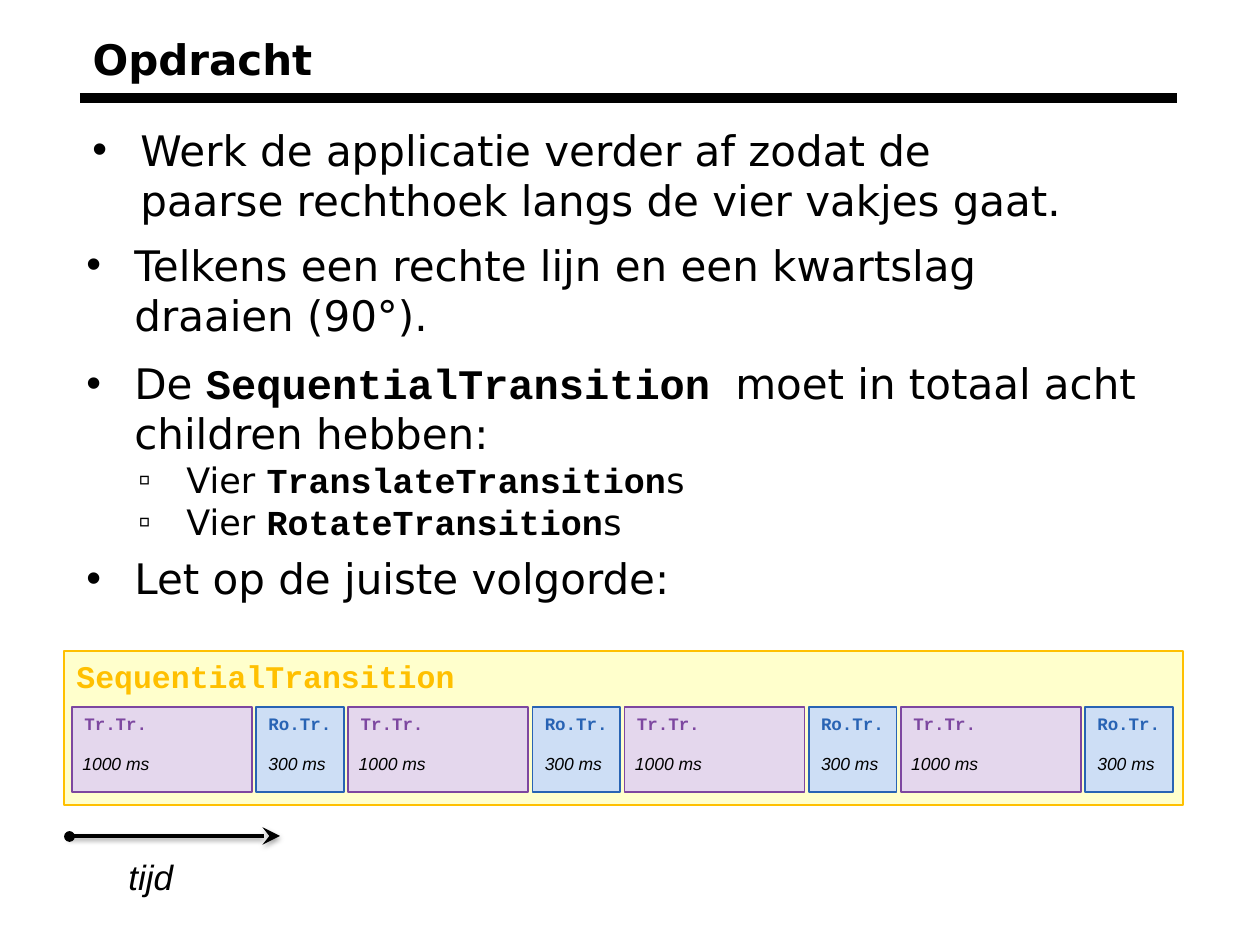
from lxml import etree
from pptx import Presentation, util as u
from pptx.dml.color import RGBColor
from pptx.enum import shapes, text
from pptx.oxml import parse_xml
from pptx.oxml.ns import nsdecls, qn

PX = 914400 // 126
COLORS = {
    "black": "000000", "panel": "FFFFCC", "gold": "FFC000",
    "lilac": "E4D7ED", "purple": "7D47A0", "sky": "CDDEF5", "blue": "2863B4",
}
SANS, MONO, ARIAL = "DejaVu Sans", "Courier New", "Arial"
HEADING = {"name": SANS, "size": 24, "bold": True}
BODY = {"name": SANS, "size": 24}
SUB = {"name": SANS, "size": 20}
CODE = {"name": MONO, "bold": True}
LABEL = {"name": MONO, "size": 10, "bold": True}
DURATION = {"name": ARIAL, "size": 10, "italic": True}
PANEL_TITLE = {"name": MONO, "size": 18, "bold": True, "color": "gold"}
TIME = {"name": ARIAL, "size": 20, "italic": True}

TITLE = "Opdracht"
INTRO = [(0, 0, [("Werk de applicatie verder af zodat de paarse rechthoek langs de vier vakjes gaat.", {})])]
TASKS = [
    (0, 0, [("Telkens een rechte lijn en een kwartslag draaien (90°).", {})]),
    (0, 10, [("De ", {}), ("SequentialTransition ", CODE), ("moet in totaal acht children hebben:", {})]),
    (1, 0, [("Vier ", {}), ("TranslateTransition", CODE), ("s", {})]),
    (1, 0, [("Vier ", {}), ("RotateTransition", CODE), ("s", {})]),
    (0, 6, [("Let op de juiste volgorde:", {})]),
]
LEVELS = [("•", 48, BODY), ("▫", 100, SUB)]
HANGING = 48
PANEL = (64, 651, 1119, 154)
TRANSLATE = ("Tr.Tr.", "1000 ms", 180, -2, "lilac", "purple")
ROTATE = ("Ro.Tr.", "300 ms", 88, 0, "sky", "blue")
STEPS = [TRANSLATE, ROTATE] * 4
STEPS_LEFT, STEPS_RIGHT, STEPS_TOP, STEPS_HEIGHT = 72, 1173, 707, 85


def px(*lengths):
    return [round(length * PX) for length in lengths]


def rgb(color):
    return RGBColor.from_string(COLORS[color])


def style(font, color="black", **values):
    font.color.rgb = rgb(color)
    for name, value in values.items():
        setattr(font, name, u.Pt(value) if name == "size" else value)


def text_box(slide, *place):
    frame = slide.shapes.add_textbox(*px(*place)).text_frame
    frame.word_wrap = True
    return frame


def caption(slide, words, look, *place):
    frame = text_box(slide, *place)
    frame.margin_right = 0
    run = frame.paragraphs[0].add_run()
    run.text = words
    style(run.font, **look)


def bullets(slide, items, *place):
    frame = text_box(slide, *place)
    for i, (level, before, runs) in enumerate(items):
        paragraph = frame.add_paragraph() if i else frame.paragraphs[0]
        mark, indent, look = LEVELS[level]
        properties = paragraph._p.get_or_add_pPr()
        properties.set("marL", str(indent * PX))
        properties.set("indent", str(-HANGING * PX))
        etree.SubElement(properties, qn("a:buFont"), typeface=ARIAL)
        etree.SubElement(properties, qn("a:buChar"), char=mark)
        paragraph.space_before = u.Pt(before)
        for words, change in runs:
            run = paragraph.add_run()
            run.text = words
            style(run.font, **{**look, **change})


def block(slide, kind, fill, line, *place):
    shape = slide.shapes.add_shape(kind, *px(*place))
    shape.shadow.inherit = False
    shape.fill.solid()
    shape.fill.fore_color.rgb = rgb(fill)
    shape.line.color.rgb = rgb(line)
    shape.line.width = u.Pt(1)


def rule(slide, width, effects, *ends):
    line = slide.shapes.add_connector(shapes.MSO_CONNECTOR.STRAIGHT, *px(*ends))
    line.line.color.rgb = rgb("black")
    line.line.width = u.Pt(width)
    line._element.spPr.append(parse_xml(f"<a:effectLst {nsdecls('a')}>{effects}</a:effectLst>"))
    return line


def main():
    deck = Presentation()
    deck.slide_width, deck.slide_height = u.Inches(10), u.Inches(7.5)
    slide = deck.slides.add_slide(deck.slide_layouts[5])

    title = slide.shapes.title
    title.left, title.top, title.width, title.height = px(80, 18, 1097, 81)
    title.text_frame.text = TITLE
    title.text_frame.vertical_anchor = text.MSO_ANCHOR.MIDDLE
    heading = title.text_frame.paragraphs[0]
    heading.alignment = text.PP_ALIGN.LEFT
    style(heading.runs[0].font, **HEADING)
    rule(slide, 6, "", 80, 98, 1177, 98)

    bullets(slide, INTRO, 80, 118, 1012, 115)
    bullets(slide, TASKS, 74, 233, 1082, 386)

    rect = shapes.MSO_SHAPE.RECTANGLE
    block(slide, rect, "panel", "gold", *PANEL)
    caption(slide, "SequentialTransition", PANEL_TITLE, *PANEL[:3], 64)

    free = STEPS_RIGHT - STEPS_LEFT - sum(step[2] for step in STEPS)
    gap = free / (len(STEPS) - 1)
    left = STEPS_LEFT
    for label, duration, width, shift, fill, accent in STEPS:
        block(slide, rect, fill, accent, left, STEPS_TOP, width, STEPS_HEIGHT)
        caption(slide, label, {**LABEL, "color": accent}, left, STEPS_TOP, width, 45)
        caption(slide, duration, DURATION, left + shift, STEPS_TOP + 40, width, 45)
        left += width + gap

    shadow = ('<a:outerShdw blurRad="39370" dist="20320" dir="5400000" rotWithShape="0">'
              '<a:srgbClr val="000000"><a:alpha val="38000"/></a:srgbClr></a:outerShdw>')
    arrow = rule(slide, 2, shadow, 69, 836, 280, 836)
    etree.SubElement(arrow.line._get_or_add_ln(), qn("a:tailEnd"), type="stealth", w="lg", len="lg")
    block(slide, shapes.MSO_SHAPE.OVAL, "black", "black", 65, 832, 9, 9)
    caption(slide, "tijd", TIME, 116, 849, 92, 68)

    deck.save("out.pptx")


if __name__ == "__main__":
    main()
